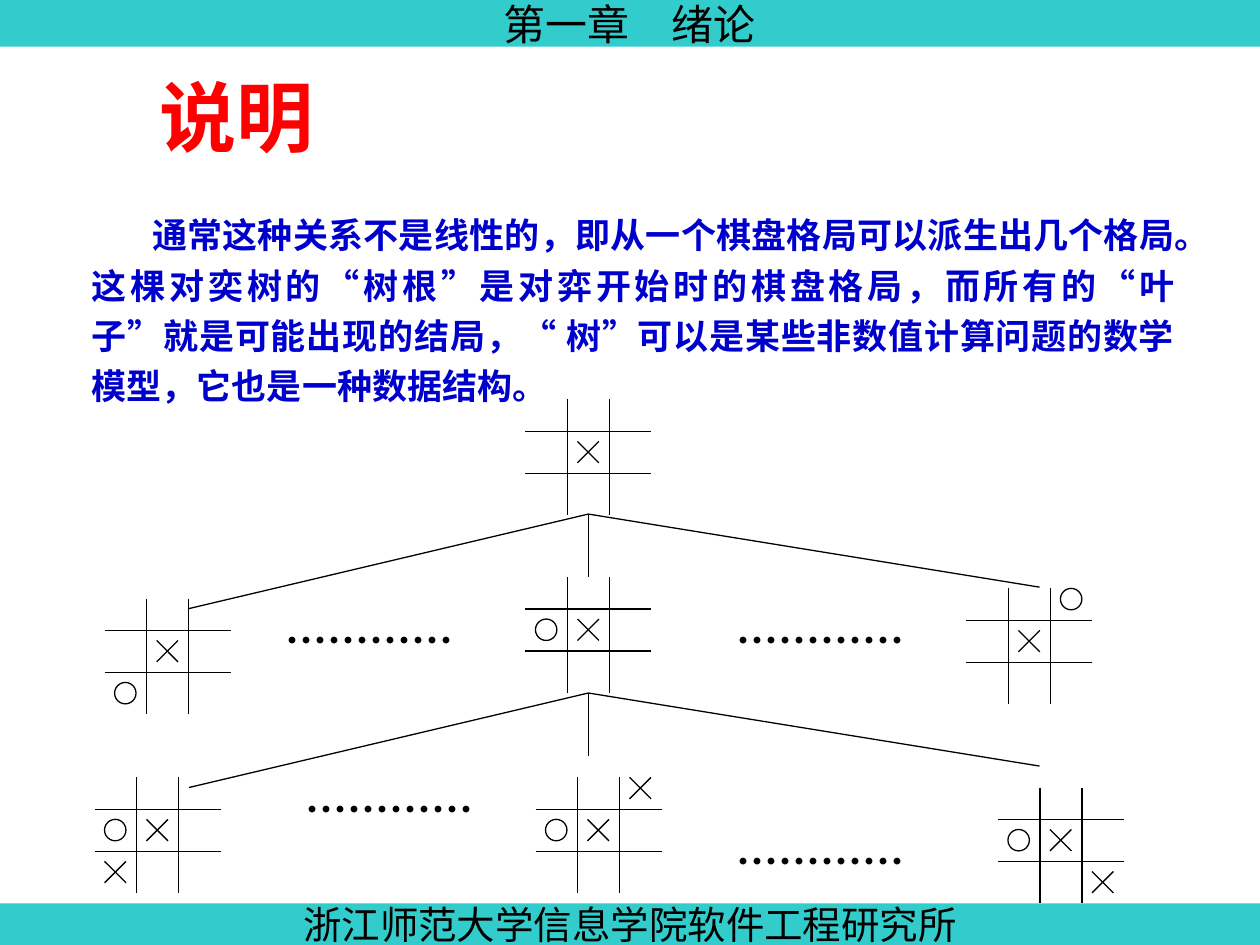
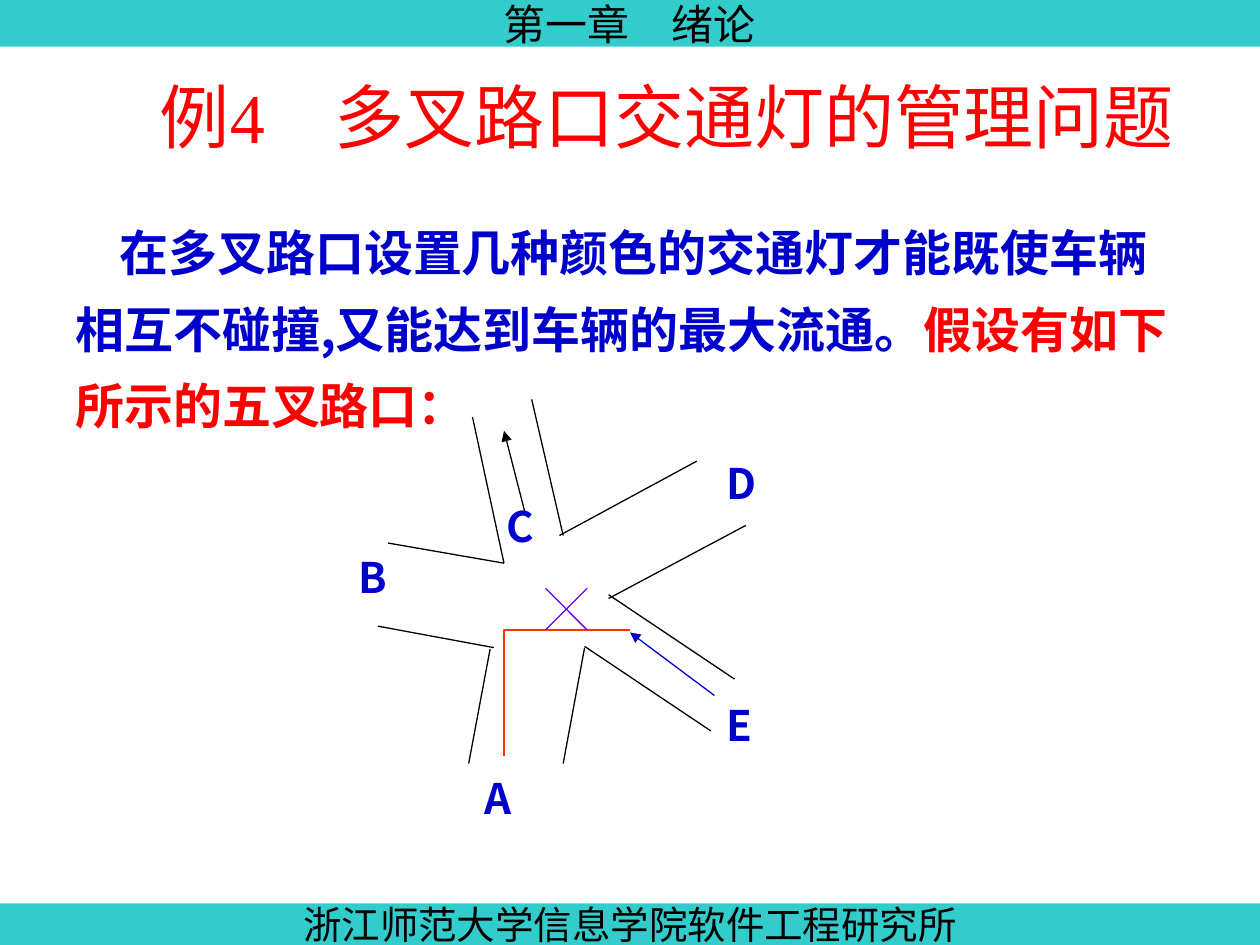
from lxml import etree
from pptx import Presentation
from pptx.dml.color import RGBColor
from pptx.enum.shapes import MSO_CONNECTOR, MSO_SHAPE
from pptx.enum.text import MSO_ANCHOR, PP_ALIGN
from pptx.oxml.ns import qn
from pptx.util import Inches, Pt

STRAIGHT = MSO_CONNECTOR.STRAIGHT
RECTANGLE, OVAL = MSO_SHAPE.RECTANGLE, MSO_SHAPE.OVAL
TOP, MIDDLE = MSO_ANCHOR.TOP, MSO_ANCHOR.MIDDLE
LEFT, CENTER, JUSTIFY = PP_ALIGN.LEFT, PP_ALIGN.CENTER, PP_ALIGN.JUSTIFY

SERIF, SANS, CHINESE = "Times New Roman", "Arial", "Noto Sans CJK SC"
BLACK, RED, BLUE, TEAL = "000000", "FF0000", "0000CC", "33CCCC"
ORANGE, VIOLET = "FF3300", "6600FF"

TITLE_BOX = (1.17, 0.42, 8.42, 1)
BANDS = [((0, 0, 10, 0.37), "第一章　绪论", 24),
         ((0, 7.17, 10, 0.33), "浙江师范大学信息学院软件工程研究所", 22)]

CELL = 1 / 3
MARK = 0.17
ROOT = (4.17, 3.17)
BOARDS = [(ROOT, {}),
          ((0.83, 4.75), {(0, 2): "O"}),
          ((4.17, 4.58), {(0, 1): "O"}),
          ((7.67, 4.67), {(2, 0): "O"}),
          ((0.75, 6.17), {(0, 1): "O", (0, 2): "X"}),
          ((4.25, 6.17), {(0, 1): "O", (2, 0): "X"}),
          ((7.92, 6.25), {(0, 1): "O", (2, 2): "X"})]
FORKS = [(4.67, 4.08), (4.67, 5.5)]
BRANCHES = [(-3.17, 0.75), (0, 0.5), (3.58, 0.58)]
DOTS = [(2.17, 4.83), (5.75, 4.83), (2.33, 6.17), (5.75, 6.58)]

CURBS = [((0.75, 0.14), (1, 1.3)), ((0.08, 1.14), (1, 1.3)),
         ((0, 1.8), (0.92, 1.97)), ((0.72, 2.89), (0.89, 1.98)),
         ((1.47, 2.89), (1.64, 1.97)), ((2.64, 2.63), (1.64, 1.96)),
         ((2.83, 2.22), (1.83, 1.55)), ((2.53, 0.49), (1.44, 1.08)),
         ((1.22, 0), (1.47, 1.08)), ((2.92, 1), (1.83, 1.58))]
ROAD_NAMES = {"A": (0.75, 2.91), "B": (-0.25, 1.16), "C": (0.92, 0.75),
              "D": (2.67, 0.41), "E": (2.67, 2.33)}
TURN = [[(1.17, 2.41), (1.22, 2.09), (1.28, 1.76), (1.42, 1.66)],
        [(1.42, 1.66), (1.56, 1.57), (1.9, 1.8), (2, 1.83)]]


def color(value):
    return RGBColor.from_string(value)


def add_text(shape, spans, size, font, bold=False, align=LEFT, anchor=TOP,
             wrap=True, spacing=None, margin=0, indent=0):
    frame = shape.text_frame
    frame.word_wrap = wrap
    frame.vertical_anchor = anchor
    para = frame.paragraphs[0]
    para.alignment = align
    if spacing:
        para.line_spacing = spacing
    properties = para._p.get_or_add_pPr()
    properties.set("marL", str(Inches(margin)))
    properties.set("indent", str(Inches(indent)))
    for words, ink in spans:
        span = para.add_run()
        span.text = words
        span.font.size = Pt(size)
        span.font.bold = bold
        span.font.color.rgb = color(ink)
        span.font.name = font
        east_asian = etree.SubElement(span._r.get_or_add_rPr(), qn("a:ea"))
        east_asian.set("typeface", CHINESE)


def add_text_box(page, box, spans, size, font=CHINESE, bold=True, **layout):
    shape = page.shapes.add_textbox(*map(Inches, box))
    add_text(shape, spans, size, font, bold, **layout)


def add_line(page, start, end, ink=BLACK, arrow=False):
    line = page.shapes.add_connector(STRAIGHT, *map(Inches, (*start, *end)))
    line.line.color.rgb = color(ink)
    line.line.width = Pt(0.75)
    if arrow:
        head = etree.SubElement(line.line._get_or_add_ln(), qn("a:tailEnd"))
        head.set("type", "triangle")
    etree.SubElement(line._element.spPr, qn("a:effectLst"))


def add_cross(page, left, top, size, ink=BLACK):
    add_line(page, (left, top), (left + size, top + size), ink)
    add_line(page, (left + size, top), (left, top + size), ink)


def add_circle(page, left, top, size):
    circle = page.shapes.add_shape(OVAL, *map(Inches, (left, top, size, size)))
    circle.shadow.inherit = False
    circle.fill.background()
    circle.line.color.rgb = color(BLACK)
    circle.line.width = Pt(0.75)


def add_page(deck, title, size, font, bold):
    page = deck.slides.add_slide(deck.slide_layouts[6])
    for box, words, band_size in BANDS:
        band = page.shapes.add_shape(RECTANGLE, *map(Inches, box))
        band.shadow.inherit = False
        band.fill.solid()
        band.fill.fore_color.rgb = color(TEAL)
        band.line.fill.background()
        add_text(band, [(words, BLACK)], band_size, SERIF,
                 align=CENTER, anchor=MIDDLE, wrap=False)
    add_text_box(page, TITLE_BOX, [(title, RED)], size, font, bold, anchor=MIDDLE)
    return page


def add_board(page, left, top, marks):
    for step in (1, 2):
        row, column = top + step * CELL - 0.08, left + step * CELL
        add_line(page, (left, row), (left + 1, row))
        add_line(page, (column, top), (column, top + 0.92))
    for (column, row), mark in {(1, 1): "X", **marks}.items():
        draw = add_cross if mark == "X" else add_circle
        draw(page, left + 0.08 + column * CELL, top + row * CELL, MARK)


def add_game_tree(page):
    for (left, top), marks in BOARDS:
        add_board(page, left, top, marks)
    for x, y in FORKS:
        for across, down in BRANCHES:
            add_line(page, (x, y), (x + across, y + down))
    for left, top in DOTS:
        add_text_box(page, (left, top, 1.58, 0.5), [("…………", BLACK)], 24,
                     align=JUSTIFY)


def bezier_point(curve, t):
    weights = ((1 - t) ** 3, 3 * t * (1 - t) ** 2, 3 * t ** 2 * (1 - t), t ** 3)
    return tuple(sum(w * point[axis] for w, point in zip(weights, curve))
                 for axis in (0, 1))


def add_crossroads(page, left, top):
    def place(point):
        return left + point[0], top + point[1]

    for start, end in CURBS:
        add_line(page, place(start), place(end))
    add_line(page, place((2.67, 2.35)), place((2, 1.85)), BLUE, arrow=True)
    add_line(page, place((1.17, 0.91)), place((1, 0.25)), arrow=True)

    points = [place(bezier_point(curve, step / 16))
              for curve in TURN for step in range(17)]
    builder = page.shapes.build_freeform(*points[0], scale=Inches(1))
    builder.add_line_segments(points[1:], close=False)
    turn = builder.convert_to_shape()
    turn.shadow.inherit = False
    turn.fill.background()
    turn.line.color.rgb = color(ORANGE)
    turn.line.width = Pt(0.75)

    add_cross(page, *place((1.33, 1.5)), 0.33, VIOLET)
    for name, corner in ROAD_NAMES.items():
        add_text_box(page, (*place(corner), 0.5, 0.5), [(name, BLUE)], 24,
                     align=JUSTIFY)


def build_explanation(deck):
    page = add_page(deck, "说明", 44, SANS, True)
    words = ("通常这种关系不是线性的，即从一个棋盘格局可以派生出几个格局。"
             "这棵对奕树的“树根”是对弈开始时的棋盘格局，而所有的“叶子”"
             "就是可能出现的结局，“ 树”可以是某些非数值计算问题的数学模型，"
             "它也是一种数据结构。")
    add_text_box(page, (0.25, 1.58, 9.17, 1.75), [(words, BLUE)], 20,
                 align=JUSTIFY, spacing=1.2, margin=0.38, indent=0.48)
    add_game_tree(page)


def build_traffic_example(deck):
    page = add_page(deck, "例4　多叉路口交通灯的管理问题", 40, SERIF, False)
    spans = [("在多叉路口设置几种颜色的交通灯才能既使车辆相互不碰撞,"
              "又能达到车辆的最大流通。", BLUE),
             ("假设有如下所示的五叉路口：", RED)]
    add_text_box(page, (0.5, 1.58, 9, 1.92), spans, 28, spacing=1.3, indent=0.35)
    add_crossroads(page, 3, 3.17)


def main():
    deck = Presentation()
    deck.slide_width, deck.slide_height = Inches(10), Inches(7.5)
    build_explanation(deck)
    build_traffic_example(deck)
    deck.save("out.pptx")


if __name__ == "__main__":
    main()
